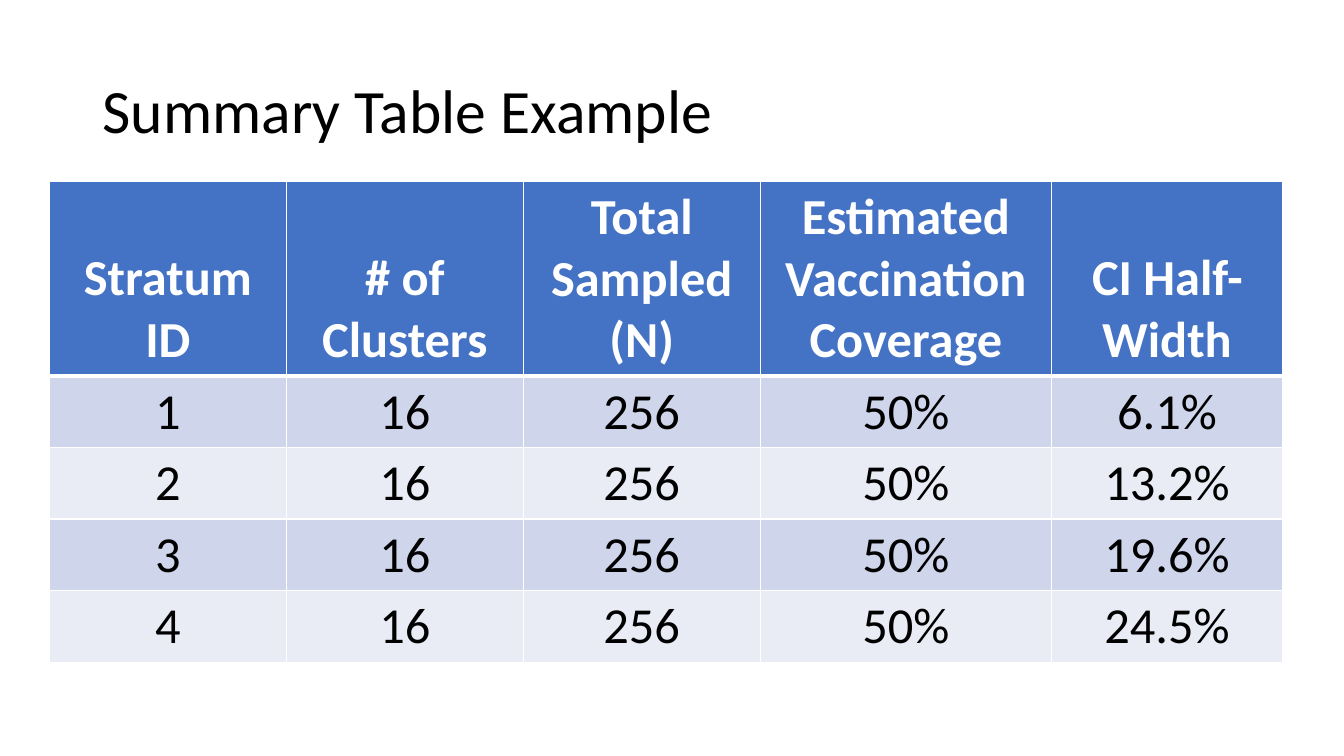
from lxml import etree
from pptx import Presentation
from pptx.dml.color import RGBColor
from pptx.enum.text import MSO_ANCHOR, PP_ALIGN
from pptx.oxml.ns import qn
from pptx.util import Inches, Pt

LEFT, CENTER = PP_ALIGN.LEFT, PP_ALIGN.CENTER
TOP, MIDDLE, BOTTOM = MSO_ANCHOR.TOP, MSO_ANCHOR.MIDDLE, MSO_ANCHOR.BOTTOM

FONT = "Calibri"
COLORS = {
    "text": "000000",
    "white": "FFFFFF",
    "header": "4472C4",
    "odd_row": "CFD5EA",
    "even_row": "E9EBF5",
}

HEADINGS = ["Stratum ID", "# of Clusters", "Total Sampled (N)",
            "Estimated Vaccination Coverage", "CI Half-Width"]
HALF_WIDTHS = ["6.1%", "13.2%", "19.6%", "24.5%"]
STRATA = [[str(stratum), "16", "256", "50%", half_width]
          for stratum, half_width in enumerate(HALF_WIDTHS, start=1)]
COLUMN_WIDTHS = [2.35, 2.35, 2.35, 2.89, 2.29]
HEADER_HEIGHT, STRATUM_HEIGHT = 1.93, 0.71


def write(frame, text, size=36, color="text", bold=False, align=CENTER, spacing=None):
    frame.word_wrap = True
    paragraph = frame.paragraphs[0]
    paragraph.alignment = align
    if spacing:
        paragraph.line_spacing = spacing
    run = paragraph.add_run()
    run.text = text
    run.font.name = FONT
    run.font.size = Pt(size)
    run.font.bold = bold
    run.font.color.rgb = RGBColor.from_string(COLORS[color])


def set_borders(cell, **widths):
    """Draw white cell borders; widths are points keyed by side L, R, T, B."""
    properties = cell._tc.get_or_add_tcPr()
    for side, width in widths.items():
        line = etree.SubElement(properties, qn(f"a:ln{side}"), w=str(Pt(width)))
        fill = etree.SubElement(line, qn("a:solidFill"))
        etree.SubElement(fill, qn("a:srgbClr"), val=COLORS["white"])


def add_title(slide, left, top, width, height):
    title = slide.shapes.add_textbox(Inches(left), Inches(top), Inches(width), Inches(height))
    title.text_frame.vertical_anchor = MIDDLE
    write(title.text_frame, "Summary Table Example", size=44, align=LEFT, spacing=0.9)


def add_summary_table(slide, left, top, width, height):
    rows = [HEADINGS] + STRATA
    summary = slide.shapes.add_table(len(rows), len(HEADINGS), Inches(left), Inches(top),
                                     Inches(width), Inches(height)).table
    for column, column_width in zip(summary.columns, COLUMN_WIDTHS):
        column.width = Inches(column_width)

    for r, values in enumerate(rows):
        is_header = r == 0
        summary.rows[r].height = Inches(HEADER_HEIGHT if is_header else STRATUM_HEIGHT)
        background = "header" if is_header else "odd_row" if r % 2 else "even_row"
        for c, value in enumerate(values):
            cell = summary.cell(r, c)
            cell.vertical_anchor = BOTTOM if is_header else TOP
            # The rule below the header is heavier than the others
            set_borders(cell, L=1, R=1, T=3 if r == 1 else 1, B=3 if is_header else 1)
            cell.fill.solid()
            cell.fill.fore_color.rgb = RGBColor.from_string(COLORS[background])
            write(cell.text_frame, value, color="white" if is_header else "text",
                  bold=is_header)


def main():
    presentation = Presentation()
    presentation.slide_width, presentation.slide_height = Inches(13.33), Inches(7.5)
    slide = presentation.slides.add_slide(presentation.slide_layouts[6])
    add_title(slide, 0.92, 0.4, 11.5, 1.45)
    add_summary_table(slide, 0.49, 1.8, sum(COLUMN_WIDTHS),
                      HEADER_HEIGHT + len(STRATA) * STRATUM_HEIGHT)
    presentation.save("out.pptx")


if __name__ == "__main__":
    main()
